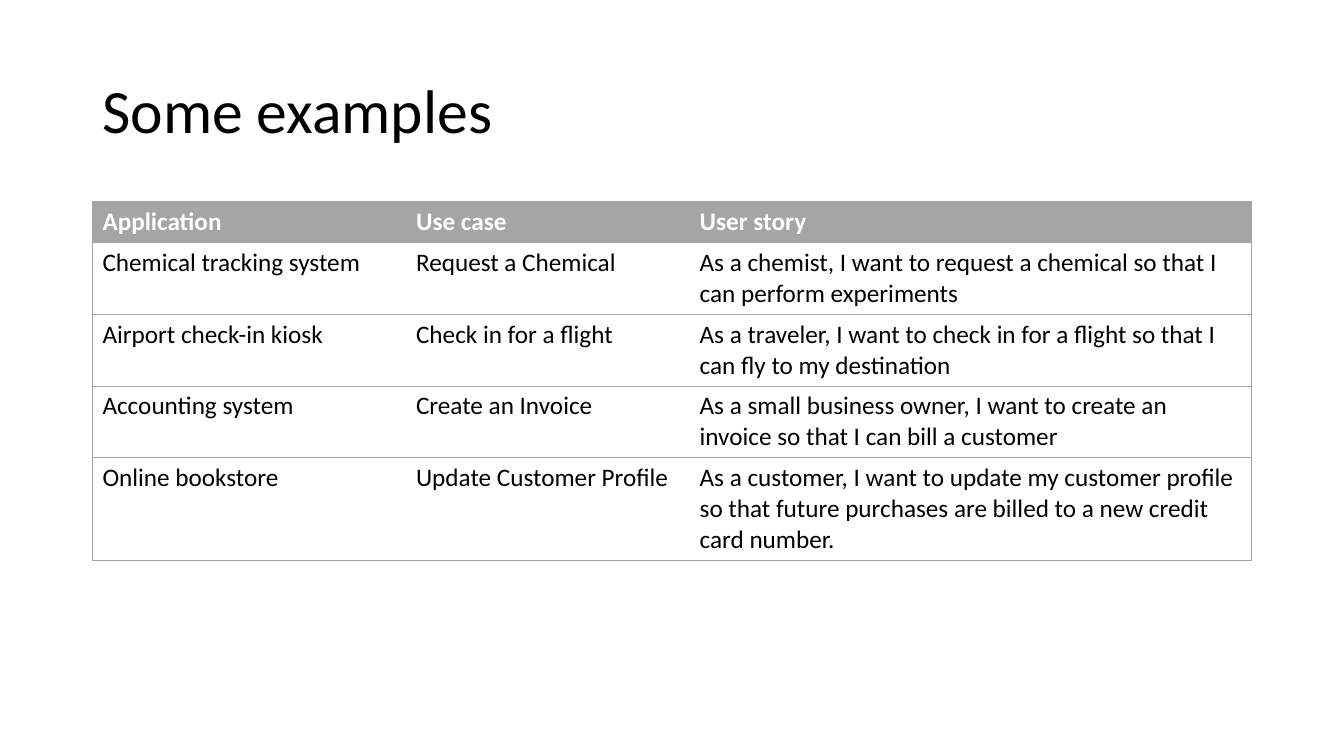
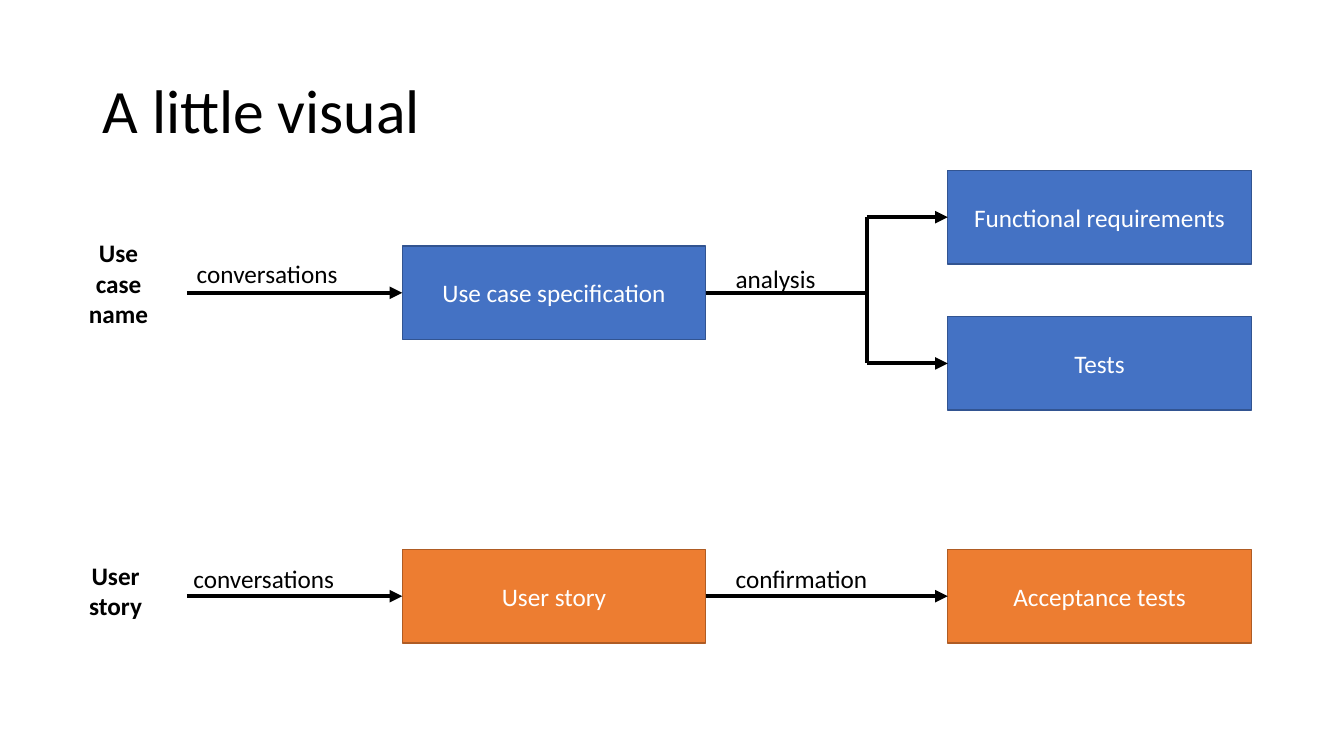
from dataclasses import dataclass
from typing import Any, Optional

import lxml.etree
import pptx
import pptx.dml.color
import pptx.enum.shapes
import pptx.enum.text
import pptx.oxml.ns
import pptx.util

RGBColor = pptx.dml.color.RGBColor
Align = pptx.enum.text.PP_ALIGN
Anchor = pptx.enum.text.MSO_ANCHOR
AutoSize = pptx.enum.text.MSO_AUTO_SIZE
qn = pptx.oxml.ns.qn

# Colours
BLACK = RGBColor(0x00, 0x00, 0x00)
WHITE = RGBColor(0xFF, 0xFF, 0xFF)
GREY = RGBColor(0xA5, 0xA5, 0xA5)
BLUE = RGBColor(0x44, 0x72, 0xC4)
DARK_BLUE = RGBColor(0x32, 0x54, 0x91)
ORANGE = RGBColor(0xED, 0x7D, 0x31)
DARK_ORANGE = RGBColor(0xAF, 0x5C, 0x24)

# Grid: 100 columns by 100 rows on every slide
WIDTH, HEIGHT = pptx.util.Inches(13.33), pptx.util.Inches(7.5)
MARGIN, CONTENT_WIDTH = 6.88, 86.25

# Text formats
BODY = {"name": "Calibri", "size": pptx.util.Pt(18), "bold": False}
TITLE = BODY | {"size": pptx.util.Pt(44)}
STRONG = BODY | {"bold": True}
LEFT = {"alignment": Align.LEFT}
CENTER = {"alignment": Align.CENTER}

# Table layout
TABLE_TOP = 26.67
COLUMN_WIDTHS = (23.33, 21.1, 41.82)
LINE_HEIGHT, CELL_PADDING = 4.05, 1.38

# Diagram layout
BOX_WIDTH, BOX_HEIGHT = 22.58, 12.4
SECOND_COLUMN, THIRD_COLUMN = 29.93, 70.52
USE_CASE_TOP, STORY_TOP = 32.53, 72.67
REQUIREMENTS_TOP, TESTS_TOP = 22.53, 41.87
WIRE_START, FORK = 13.9, 64.5


@dataclass(frozen=True)
class Box:
    text: str
    left: float
    top: float
    fill: RGBColor = BLUE
    outline: RGBColor = DARK_BLUE

    @property
    def middle(self) -> float:
        return self.top + BOX_HEIGHT / 2


@dataclass(frozen=True)
class Label:
    text: str
    left: float
    top: float
    width: float = 15.1
    height: float = 5.39
    strong: bool = False


@dataclass(frozen=True)
class Wire:
    start: tuple[float, float]
    end: tuple[float, float]
    source: Optional[Box] = None
    target: Optional[Box] = None
    arrow: bool = True


@dataclass(frozen=True)
class Example:
    application: str
    use_case: str
    story: str
    lines: int = 2


EXAMPLES = (
    Example("Application", "Use case", "User story", 1),
    Example("Chemical tracking system", "Request a Chemical",
            "As a chemist, I want to request a chemical so that I can perform experiments"),
    Example("Airport check-in kiosk", "Check in for a flight",
            "As a traveler, I want to check in for a flight so that I can fly to my destination"),
    Example("Accounting system", "Create an Invoice",
            "As a small business owner, I want to create an invoice so that I can bill a customer"),
    Example("Online bookstore", "Update Customer Profile",
            "As a customer, I want to update my customer profile so that future purchases "
            "are billed to a new credit card number.", 3),
)

SPECIFICATION = Box("Use case specification", SECOND_COLUMN, USE_CASE_TOP)
REQUIREMENTS = Box("Functional requirements", THIRD_COLUMN, REQUIREMENTS_TOP)
TESTS = Box("Tests", THIRD_COLUMN, TESTS_TOP)
STORY = Box("User story", SECOND_COLUMN, STORY_TOP, ORANGE, DARK_ORANGE)
ACCEPTANCE = Box("Acceptance tests", THIRD_COLUMN, STORY_TOP, ORANGE, DARK_ORANGE)
BOXES = (SPECIFICATION, STORY, REQUIREMENTS, TESTS, ACCEPTANCE)


def wire_into(start: float, target: Box, source: Optional[Box] = None) -> Wire:
    """Level arrow to the left side of a box."""
    return Wire((start, target.middle), (target.left, target.middle), source, target)


BOX_END = SECOND_COLUMN + BOX_WIDTH
WIRES = (
    wire_into(WIRE_START, SPECIFICATION),
    wire_into(WIRE_START, STORY),
    wire_into(BOX_END, ACCEPTANCE, STORY),
    wire_into(FORK, REQUIREMENTS),
    wire_into(FORK, TESTS),
    Wire((FORK, REQUIREMENTS.middle), (FORK, TESTS.middle), arrow=False),
    Wire((BOX_END, SPECIFICATION.middle), (FORK, SPECIFICATION.middle),
         SPECIFICATION, arrow=False),
)

LABELS = (
    Label("conversations", WIRE_START, 33.47),
    Label("conversations", 13.65, 73.87),
    Label("confirmation", 54, 73.87),
    Label("analysis", 54, 34.13),
    Label("Use case name", 4.95, 30.8, 7.75, 13.47, True),
    Label("User story", 4.73, 73.47, 7.75, 9.47, True),
)


# Helpers
def across(columns: float) -> int:
    return round(WIDTH * columns / 100)


def down(rows: float) -> int:
    return round(HEIGHT * rows / 100)


def area(left: float, top: float, width: float, height: float) -> tuple[int, int, int, int]:
    return across(left), down(top), across(width), down(height)


def apply(target: Any, values: dict[str, Any]) -> None:
    for name, value in values.items():
        setattr(target, name, value)


def write(frame: Any, text: str, font: dict[str, Any], paragraph: dict[str, Any],
          color: RGBColor = BLACK) -> None:
    frame.text = text
    line = frame.paragraphs[0]
    apply(line, paragraph)
    apply(line.runs[0].font, font)
    line.runs[0].font.color.rgb = color


def add_titled_slide(deck: Any, title: str) -> Any:
    slide = deck.slides.add_slide(deck.slide_layouts[5])
    heading = slide.shapes.title
    left, top, width, height = area(MARGIN, 5.32, CONTENT_WIDTH, 19.33)
    apply(heading, {"left": left, "top": top, "width": width, "height": height})
    write(heading.text_frame, title, TITLE, LEFT | {"line_spacing": 0.9})
    apply(heading.text_frame, {"vertical_anchor": Anchor.MIDDLE, "word_wrap": True})
    return slide


# Table parts
def add_borders(cell: Any, sides: str) -> None:
    """Draw thin grey lines; sides are letters of LRTB, in that order."""
    properties = cell._tc.get_or_add_tcPr()
    for position, side in enumerate(sides):
        border = lxml.etree.Element(qn(f"a:ln{side}"), w=str(pptx.util.Pt(0.5)))
        paint = lxml.etree.SubElement(border, qn("a:solidFill"))
        lxml.etree.SubElement(paint, qn("a:srgbClr"), val=str(GREY))
        properties.insert(position, border)


def add_examples(slide: Any) -> None:
    heights = [CELL_PADDING + LINE_HEIGHT * example.lines for example in EXAMPLES]
    table = slide.shapes.add_table(
        len(EXAMPLES), len(COLUMN_WIDTHS),
        *area(MARGIN, TABLE_TOP, CONTENT_WIDTH, sum(heights))).table
    table.horz_banding = False
    # Plain style without a grid
    table._tbl.tblPr.find(qn("a:tableStyleId")).text = "{2D5ABB26-0587-4C30-8999-92F81FD0307C}"
    for column, width in zip(table.columns, COLUMN_WIDTHS):
        column.width = across(width)
    for row_index, (example, height) in enumerate(zip(EXAMPLES, heights)):
        table.rows[row_index].height = down(height)
        header = row_index == 0
        texts = (example.application, example.use_case, example.story)
        for column_index, text in enumerate(texts):
            cell = table.cell(row_index, column_index)
            write(cell.text_frame, text, STRONG if header else BODY, LEFT,
                  WHITE if header else BLACK)
            if header:
                cell.fill.solid()
                cell.fill.fore_color.rgb = GREY
            else:
                cell.fill.background()
            outer = {0: "L", len(texts) - 1: "R"}.get(column_index, "")
            add_borders(cell, outer + "TB")


# Diagram parts
def add_box(slide: Any, box: Box) -> Any:
    shape = slide.shapes.add_shape(
        pptx.enum.shapes.MSO_SHAPE.RECTANGLE,
        *area(box.left, box.top, BOX_WIDTH, BOX_HEIGHT))
    shape.shadow.inherit = False
    shape.fill.solid()
    shape.fill.fore_color.rgb = box.fill
    shape.line.color.rgb = box.outline
    shape.line.width = pptx.util.Pt(1)
    write(shape.text_frame, box.text, BODY, CENTER, WHITE)
    apply(shape.text_frame, {"vertical_anchor": Anchor.MIDDLE, "word_wrap": True})
    return shape


def add_wire(slide: Any, wire: Wire, drawn: dict[Box, Any]) -> None:
    (x1, y1), (x2, y2) = wire.start, wire.end
    connector = slide.shapes.add_connector(
        pptx.enum.shapes.MSO_CONNECTOR.STRAIGHT,
        across(x1), down(y1), across(x2), down(y2))
    if wire.source:
        connector.begin_connect(drawn[wire.source], 3)
    if wire.target:
        connector.end_connect(drawn[wire.target], 1)
    connector.line.color.rgb = BLACK
    connector.line.width = pptx.util.Pt(3)
    if wire.arrow:
        lxml.etree.SubElement(connector.line._get_or_add_ln(), qn("a:tailEnd"), type="triangle")
    lxml.etree.SubElement(connector._element.spPr, qn("a:effectLst"))


def add_label(slide: Any, label: Label) -> None:
    frame = slide.shapes.add_textbox(
        *area(label.left, label.top, label.width, label.height)).text_frame
    apply(frame, {"word_wrap": True, "auto_size": AutoSize.SHAPE_TO_FIT_TEXT})
    write(frame, label.text, STRONG if label.strong else BODY,
          CENTER if label.strong else LEFT)


def main() -> None:
    deck = pptx.Presentation()
    apply(deck, {"slide_width": WIDTH, "slide_height": HEIGHT})

    add_examples(add_titled_slide(deck, "Some examples"))

    visual = add_titled_slide(deck, "A little visual")
    drawn = {box: add_box(visual, box) for box in BOXES}
    for wire in WIRES:
        add_wire(visual, wire, drawn)
    for label in LABELS:
        add_label(visual, label)

    deck.save("out.pptx")


if __name__ == "__main__":
    main()
